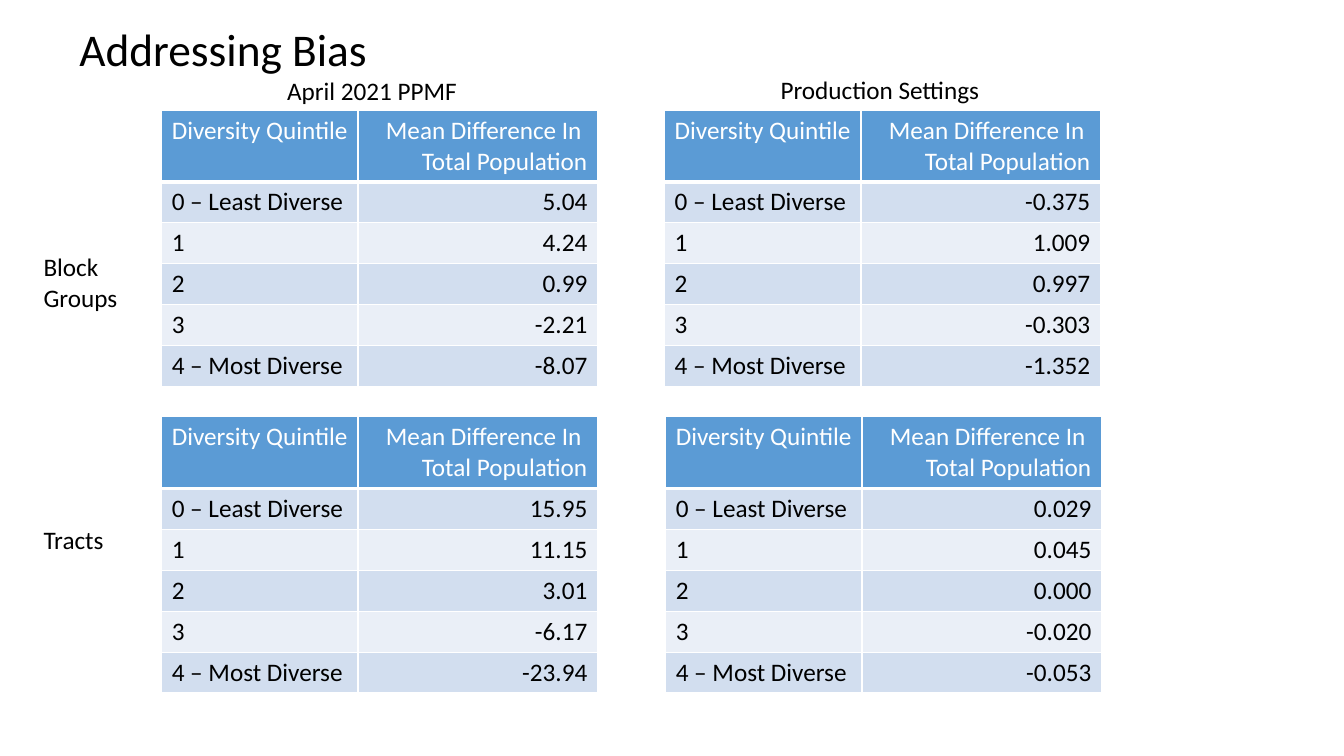
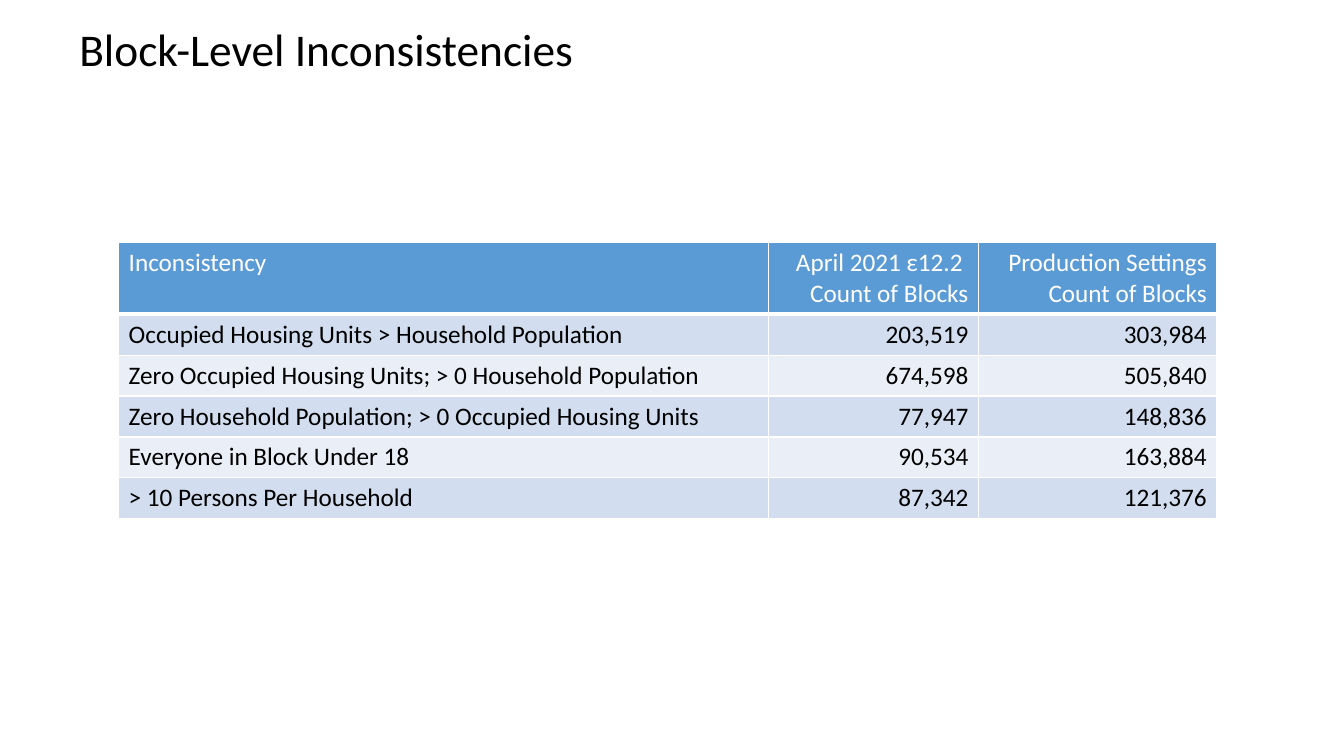
import pptx
import pptx.dml.color
import pptx.enum.text
import pptx.oxml
import pptx.oxml.ns
import pptx.util

PX = 9525
FONT = "Calibri"
WHITE, BLACK = "FFFFFF", "000000"
HEADER_FILL = "5B9BD5"
BAND_FILLS = ("D2DEEF", "EAEFF7")
HEADER_H, ROW_H = 67, 39
ALIGN = pptx.enum.text.PP_ALIGN
ANCHOR = pptx.enum.text.MSO_ANCHOR
AUTO_SIZE = pptx.enum.text.MSO_AUTO_SIZE

QUINTILES = ["0 – Least Diverse", "1", "2", "3", "4 – Most Diverse"]
QUINTILE_HEADER = ["Diversity Quintile", "Mean Difference In \nTotal Population"]
QUINTILE_COLS = [187, 228]
BIAS_TABLES = [
    (154, 105, ["5.04", "4.24", "0.99", "-2.21", "-8.07"]),
    (154, 397, ["15.95", "11.15", "3.01", "-6.17", "-23.94"]),
    (633, 105, ["-0.375", "1.009", "0.997", "-0.303", "-1.352"]),
    (634, 397, ["0.029", "0.045", "0.000", "-0.020", "-0.053"]),
]
BIAS_LABELS = [
    ("Block\nGroups", (32, 235, 90, 68)),
    ("Tracts", (32, 495, 77, 38)),
    ("April 2021 PPMF", (264, 67, 182, 38)),
    ("Production Settings", (734, 66, 211, 38)),
]
INCONSISTENCIES = [
    ["Inconsistency", "April 2021 ε12.2 \nCount of Blocks",
     "Production Settings\nCount of Blocks"],
    ["Occupied Housing Units > Household Population", "203,519", "303,984"],
    ["Zero Occupied Housing Units; > 0 Household Population", "674,598", "505,840"],
    ["Zero Household Population; > 0 Occupied Housing Units", "77,947", "148,836"],
    ["Everyone in Block Under 18", "90,534", "163,884"],
    ["> 10 Persons Per Household", "87,342", "121,376"],
]


def px(*lengths):
    return [pptx.util.Emu(n * PX) for n in lengths]


def rgb(color):
    return pptx.dml.color.RGBColor.from_string(color)


def write(tf, text, size=18, color=BLACK, align=ALIGN.LEFT, spacing=None):
    """Fill a text frame, one paragraph per line of text."""
    for i, line in enumerate(text.split("\n")):
        p = tf.add_paragraph() if i else tf.paragraphs[0]
        p.alignment = align
        if spacing:
            p.line_spacing = spacing
        r = p.add_run()
        r.text = line
        r.font.name = FONT
        r.font.size = pptx.util.Pt(size)
        r.font.bold = False
        r.font.color.rgb = rgb(color)


def add_borders(cell, bottom):
    """Draw white cell borders, 1 pt except for the bottom one."""
    tc_pr = cell._tc.get_or_add_tcPr()
    widths = {"L": 1, "R": 1, "T": 1, "B": bottom}
    for i, (side, width) in enumerate(widths.items()):
        tc_pr.insert(i, pptx.oxml.parse_xml(
            f'<a:ln{side} {pptx.oxml.ns.nsdecls("a")} w="{pptx.util.Pt(width)}">'
            f'<a:solidFill><a:srgbClr val="{WHITE}"/></a:solidFill></a:ln{side}>'))


def add_data_table(s, x, y, col_widths, rows):
    """Add a banded table: first column left aligned, the others right aligned."""
    heights = [HEADER_H] + [ROW_H] * (len(rows) - 1)
    box = px(x, y, sum(col_widths), sum(heights))
    table = s.shapes.add_table(len(rows), len(col_widths), *box).table
    table.horz_banding = False
    for col, width in zip(table.columns, px(*col_widths)):
        col.width = width
    for row, height in zip(table.rows, px(*heights)):
        row.height = height
    for i, values in enumerate(rows):
        for j, value in enumerate(values):
            cell = table.cell(i, j)
            cell.fill.solid()
            cell.fill.fore_color.rgb = rgb(BAND_FILLS[(i - 1) % 2] if i else HEADER_FILL)
            add_borders(cell, bottom=1 if i else 3)
            write(cell.text_frame, value, color=BLACK if i else WHITE,
                  align=ALIGN.RIGHT if j else ALIGN.LEFT)


def add_label(s, text, box):
    tf = s.shapes.add_textbox(*px(*box)).text_frame
    tf.word_wrap = False
    tf.auto_size = AUTO_SIZE.SHAPE_TO_FIT_TEXT
    write(tf, text)


def add_titled_slide(prs, title):
    s = prs.slides.add_slide(prs.slide_layouts.get_by_name("Title Only"))
    sp = s.shapes.title
    sp.left, sp.top, sp.width, sp.height = px(66, 19, 1186, 60)
    tf = sp.text_frame
    tf.auto_size = AUTO_SIZE.NONE
    tf.vertical_anchor = ANCHOR.MIDDLE
    write(tf, title, size=32.4, spacing=0.9)
    return s


def add_bias_slide(prs):
    s = add_titled_slide(prs, "Addressing Bias")
    for x, y, values in BIAS_TABLES:
        rows = [QUINTILE_HEADER, *zip(QUINTILES, values)]
        add_data_table(s, x, y, QUINTILE_COLS, rows)
    for text, box in BIAS_LABELS:
        add_label(s, text, box)


def add_inconsistency_slide(prs):
    s = add_titled_slide(prs, "Block-Level Inconsistencies")
    add_data_table(s, 113, 231, [619, 200, 227], INCONSISTENCIES)


def main():
    prs = pptx.Presentation()
    prs.slide_width, prs.slide_height = px(1280, 720)
    add_bias_slide(prs)
    add_inconsistency_slide(prs)
    prs.save("out.pptx")


if __name__ == "__main__":
    main()
